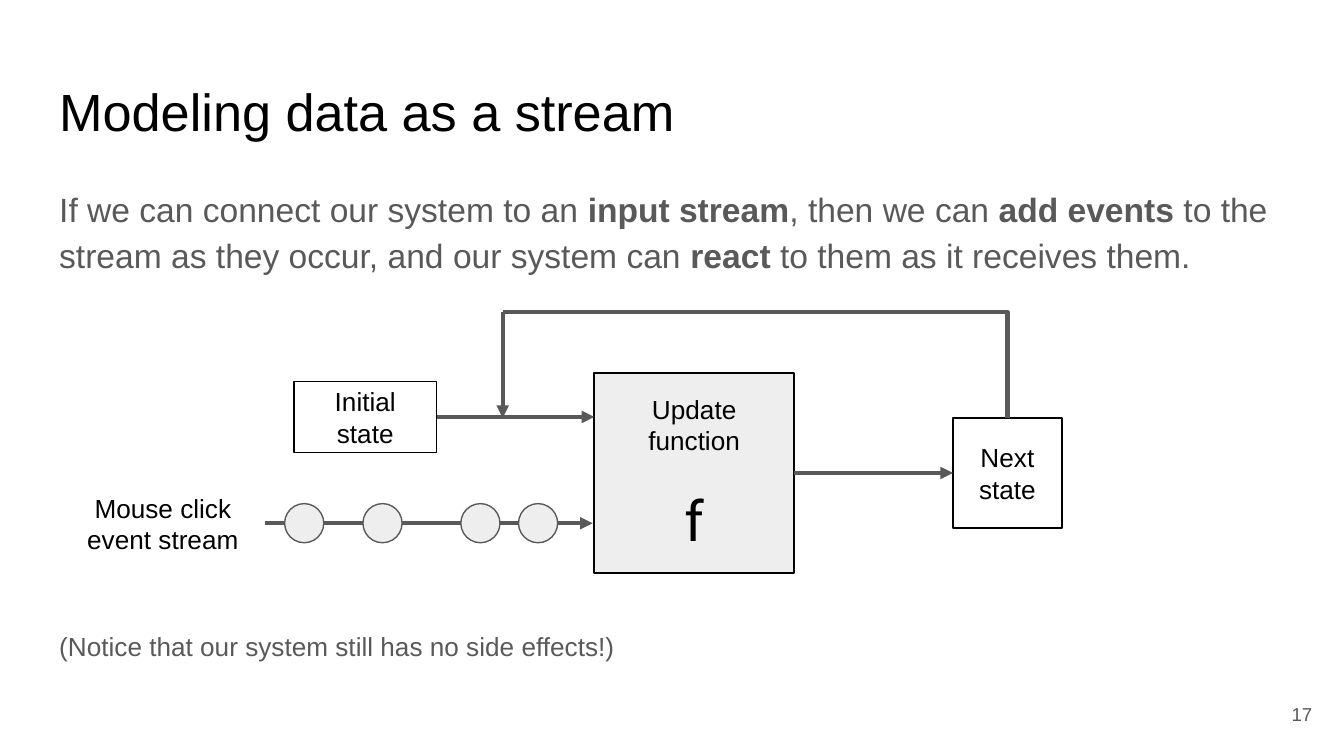
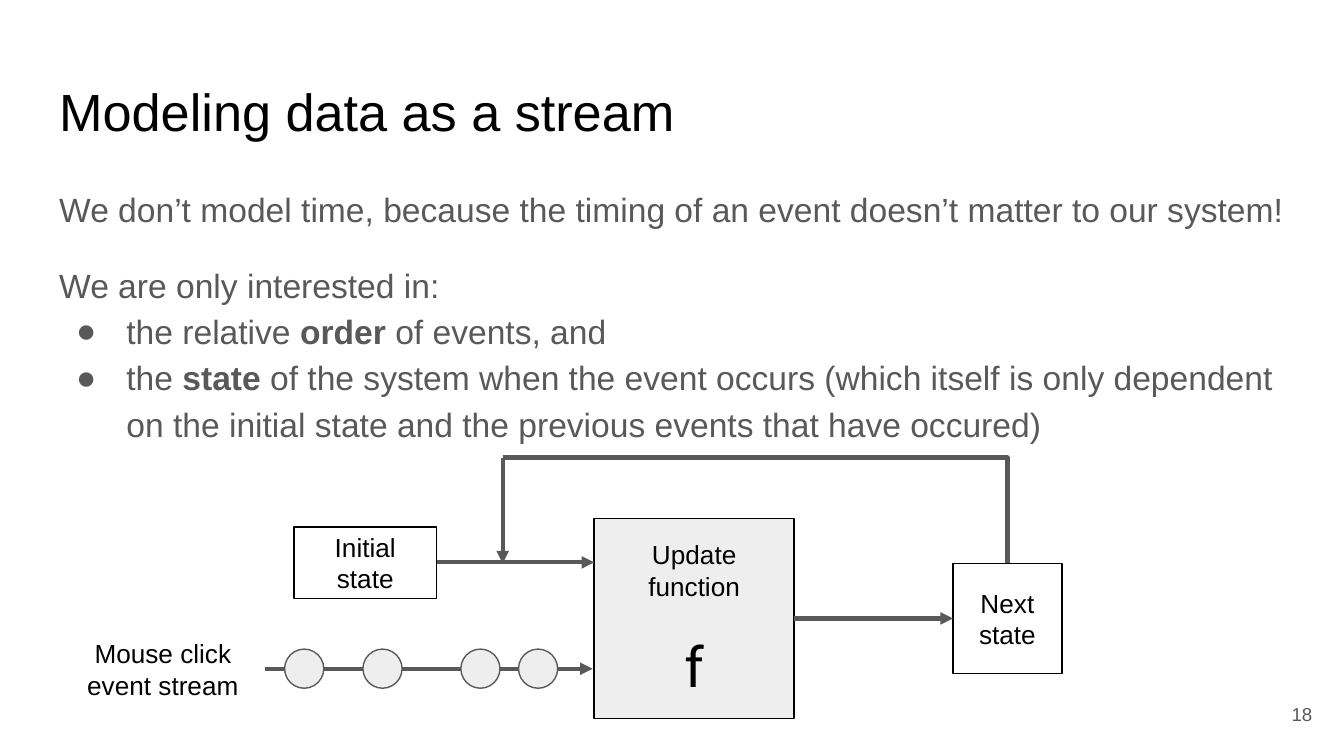
from dataclasses import dataclass

from lxml.etree import SubElement
from pptx import Presentation
from pptx.dml.color import RGBColor
from pptx.enum.shapes import MSO_CONNECTOR, MSO_SHAPE
from pptx.enum.text import MSO_ANCHOR, PP_ALIGN
from pptx.oxml.ns import qn
from pptx.util import Cm, Pt

BLACK, GREY, PALE = "000000", "595959", "EEEEEE"
FONT, MARK = "Arial", "**"
TITLE = "Modeling data as a stream"


@dataclass(frozen=True)
class Line:
    """A paragraph, with bold parts between ** marks."""
    text: str
    size: float = 14
    color: str = BLACK
    font: str = FONT
    align: PP_ALIGN = PP_ALIGN.LEFT
    before: float = 0
    spacing: float = 1.0
    bullet: bool = False


@dataclass(frozen=True)
class Box:
    """A rectangle in centimetres, with its paragraphs."""
    left: float
    top: float
    width: float
    height: float
    lines: tuple[Line, ...]
    fill: str = ""


@dataclass(frozen=True)
class Arrow:
    """A straight arrow in centimetres."""
    x1: float
    y1: float
    x2: float
    y2: float


@dataclass(frozen=True)
class Page:
    """The content that differs between slides."""
    number: int
    body: tuple[Line, ...]
    diagram_top: float


def label(text: str, **style) -> Line:
    """Return a centred diagram paragraph."""
    return Line(text, align=PP_ALIGN.CENTER, **style)


def body(text: str, size: float = 18, **style) -> Line:
    """Return a grey body paragraph."""
    return Line(text, size, GREY, spacing=1.15, **style)


UPDATE = Box(11.23, 1.15, 3.78, 3.78, (
    label("Update function"),
    label("f", size=30, font="Roboto", before=16),
), PALE)
INITIAL = Box(5.56, 1.31, 2.69, 1.35, (label("Initial state"),))
NEXT = Box(18.01, 2, 2.06, 2.08, (label("Next state"),))
STREAM = Box(1.19, 3.32, 3.78, 1.35, (label("Mouse click event stream"),))

LOOP_X, INPUT_Y, OUTPUT_Y, EVENT_Y = 9.5, 1.98, 3.04, 3.99
EVENT_SIZE = 0.74
EVENT_LEFTS = (5.38, 6.86, 8.71, 9.8)
ARROWS = (
    Arrow(UPDATE.left + UPDATE.width, OUTPUT_Y, NEXT.left, OUTPUT_Y),
    Arrow(LOOP_X, 0, LOOP_X, NEXT.top),
    Arrow(INITIAL.left + INITIAL.width, INPUT_Y, UPDATE.left, INPUT_Y),
    Arrow(5, EVENT_Y, UPDATE.left - 0.03, EVENT_Y),
)

PAGES = (
    Page(17, (
        body("If we can connect our system to an **input stream**, then we can "
             "**add events** to the stream as they occur, and our system can "
             "**react** to them as it receives them."),
        body("(Notice that our system still has no side effects!)", 14, before=188),
    ), 5.9),
    Page(18, (
        body("We don’t model time, because the timing of an event doesn’t matter "
             "to our system!"),
        body("We are only interested in:", before=16),
        body("the relative **order** of events, and", bullet=True),
        body("the **state** of the system when the event occurs (which itself is "
             "only dependent on the initial state and the previous events that "
             "have occured)", bullet=True),
    ), 8.65),
)


def rgb(color: str) -> RGBColor:
    """Convert a hex string to a colour."""
    return RGBColor.from_string(color)


def add_bullet(p, color: str) -> None:
    """Give a paragraph a hanging round bullet."""
    pPr = p._p.get_or_add_pPr()
    pPr.set("marL", str(Cm(1.27)))
    pPr.set("indent", str(-Cm(0.95)))
    clr = SubElement(pPr, qn("a:buClr"))
    SubElement(clr, qn("a:srgbClr"), val=color)
    SubElement(pPr, qn("a:buFont"), typeface=FONT)
    SubElement(pPr, qn("a:buChar"), char="●")


def write(shape, lines: tuple[Line, ...], anchor: MSO_ANCHOR) -> None:
    """Fill a shape with formatted paragraphs."""
    tf = shape.text_frame
    tf.word_wrap = True
    tf.vertical_anchor = anchor
    tf.margin_left = tf.margin_right = tf.margin_top = tf.margin_bottom = Cm(0.25)
    tf.text = "\n".join(line.text.replace(MARK, "") for line in lines)
    for p, line in zip(tf.paragraphs, lines):
        if line.bullet:
            add_bullet(p, line.color)
        p.alignment = line.align
        p.line_spacing = line.spacing
        p.space_before = Pt(line.before)
        parts = line.text.split(MARK)
        p.runs[0].text = parts[0]
        for part in parts[1:]:
            p.add_run().text = part
        for i, r in enumerate(p.runs):
            r.font.name = line.font
            r.font.size = Pt(line.size)
            r.font.bold = i % 2 == 1
            r.font.color.rgb = rgb(line.color)


def add_text(s, box: Box, top: float = 0, anchor: MSO_ANCHOR = MSO_ANCHOR.TOP) -> None:
    """Add a text box."""
    sp = s.shapes.add_textbox(Cm(box.left), Cm(top + box.top), Cm(box.width), Cm(box.height))
    write(sp, box.lines, anchor)


def add_shape(s, kind: MSO_SHAPE, box: Box, top: float, outline: str):
    """Add a thinly outlined shape."""
    sp = s.shapes.add_shape(kind, Cm(box.left), Cm(top + box.top), Cm(box.width), Cm(box.height))
    sp.shadow.inherit = False
    if box.fill:
        sp.fill.solid()
        sp.fill.fore_color.rgb = rgb(box.fill)
    else:
        sp.fill.background()
    sp.line.color.rgb = rgb(outline)
    sp.line.width = Pt(0.75)
    if box.lines:
        write(sp, box.lines, MSO_ANCHOR.MIDDLE)
    return sp


def add_line(s, kind: MSO_CONNECTOR, arrow: Arrow, top: float):
    """Add a thick grey connector."""
    c = s.shapes.add_connector(kind, Cm(arrow.x1), Cm(top + arrow.y1),
                               Cm(arrow.x2), Cm(top + arrow.y2))
    c.line.color.rgb = rgb(GREY)
    c.line.width = Pt(2.25)
    SubElement(c._element.spPr, qn("a:effectLst"))
    return c


def add_diagram(s, top: float) -> None:
    """Draw the update loop with its event stream."""
    add_shape(s, MSO_SHAPE.RECTANGLE, UPDATE, top, BLACK)
    add_shape(s, MSO_SHAPE.RECTANGLE, INITIAL, top, BLACK)
    next_state = add_shape(s, MSO_SHAPE.RECTANGLE, NEXT, top, BLACK)
    loop = add_line(s, MSO_CONNECTOR.ELBOW,
                    Arrow(LOOP_X, 0, NEXT.left + NEXT.width / 2, NEXT.top), top)
    loop._element.spPr.find(qn("a:prstGeom")).set("prst", "bentConnector2")
    loop.end_connect(next_state, 0)
    for arrow in ARROWS:
        c = add_line(s, MSO_CONNECTOR.STRAIGHT, arrow, top)
        SubElement(c.line._get_or_add_ln(), qn("a:tailEnd"), type="triangle")
    for left in EVENT_LEFTS:
        event = Box(left, EVENT_Y - EVENT_SIZE / 2, EVENT_SIZE, EVENT_SIZE, (), PALE)
        add_shape(s, MSO_SHAPE.OVAL, event, top, GREY)
    add_text(s, STREAM, top, MSO_ANCHOR.MIDDLE)


def add_page(prs, page: Page) -> None:
    """Add a slide with title, body, number and diagram."""
    s = prs.slides.add_slide(prs.slide_layouts[6])
    number = Line(str(page.number), 10, GREY, align=PP_ALIGN.RIGHT)
    add_text(s, Box(0.87, 1.24, 23.67, 1.59, (Line(TITLE, 28),)))
    add_text(s, Box(0.87, 3.2, 23.67, 9.5, page.body))
    add_text(s, Box(23.53, 12.95, 1.52, 1.09, (number,)), anchor=MSO_ANCHOR.MIDDLE)
    add_diagram(s, page.diagram_top)


def main() -> None:
    """Build the presentation."""
    prs = Presentation()
    prs.slide_width, prs.slide_height = Cm(25.4), Cm(14.29)
    for page in PAGES:
        add_page(prs, page)
    prs.save("out.pptx")


if __name__ == "__main__":
    main()
